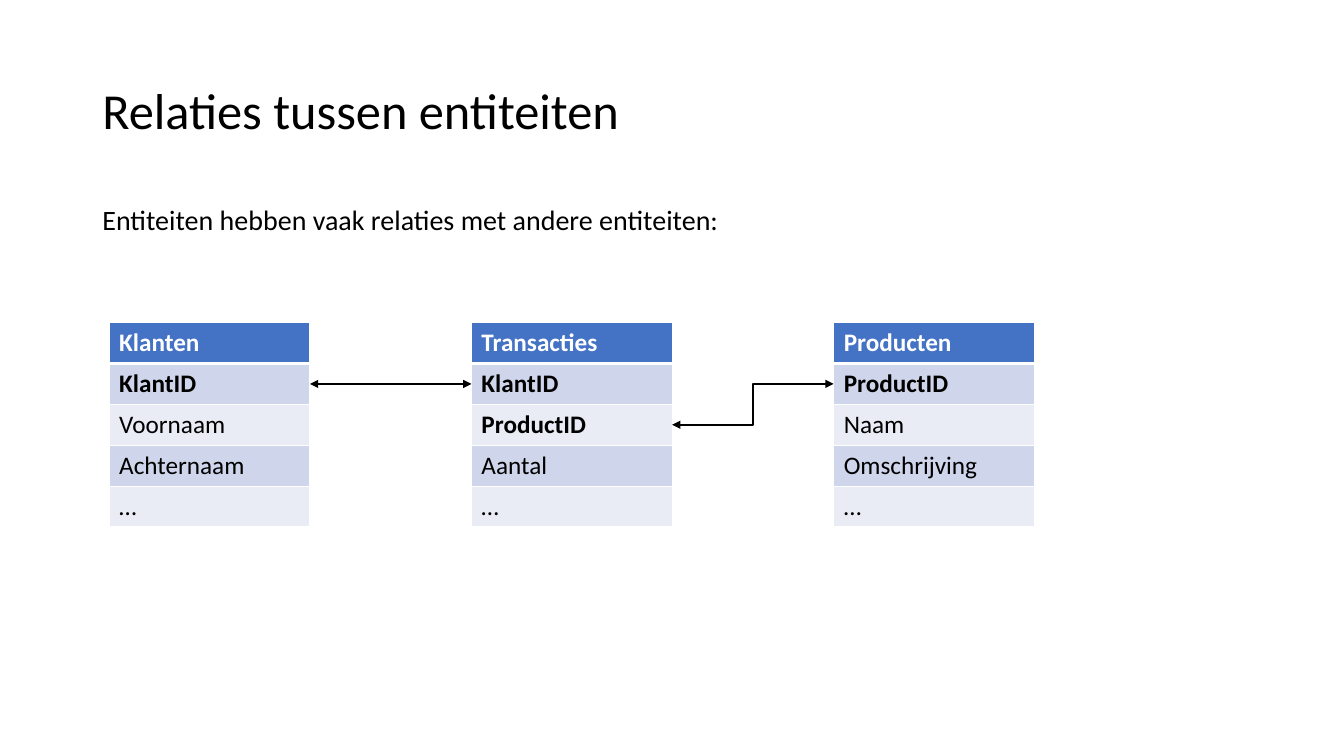
from lxml.etree import SubElement
from pptx import Presentation
from pptx.dml.color import RGBColor
from pptx.enum.shapes import MSO_CONNECTOR
from pptx.enum.text import MSO_ANCHOR
from pptx.oxml.ns import qn
from pptx.util import Cm, Pt

FONT = "Calibri"
BLACK, WHITE = "000000", "FFFFFF"
HEADER_FILL = "4472C4"
BAND_FILLS = ("CFD5EA", "E9EBF5")

ENTITY_LEFT, ENTITY_TOP, ENTITY_PITCH = 2.75, 8.13, 9.13
ENTITY_WIDTH, ROW_HEIGHT = 5.06, 1.03

# Entity name, key fields, other fields
ENTITIES = [
    ("Klanten", ["KlantID"], ["Voornaam", "Achternaam", "…"]),
    ("Transacties", ["KlantID", "ProductID"], ["Aantal", "…"]),
    ("Producten", ["ProductID"], ["Naam", "Omschrijving", "…"]),
]


def color(value):
    return RGBColor.from_string(value)


def write(frame, text, size=18, bold=False, fill=BLACK, line_spacing=None, before=None):
    paragraph = frame.paragraphs[0]
    paragraph.line_spacing = line_spacing
    if before is not None:
        paragraph.space_before = Pt(before)
    run = paragraph.add_run()
    run.text = text
    run.font.name = FONT
    run.font.size = Pt(size)
    run.font.bold = bold
    run.font.color.rgb = color(fill)


def add_text(slide, text, left, top, width, height, anchor=MSO_ANCHOR.TOP, **style):
    frame = slide.shapes.add_textbox(Cm(left), Cm(top), Cm(width), Cm(height)).text_frame
    frame.word_wrap = True
    frame.vertical_anchor = anchor
    write(frame, text, line_spacing=0.9, **style)


def add_borders(cell, top=1, bottom=1):
    """Draw white cell borders; widths are in points. Call before filling the cell."""
    properties = cell._tc.get_or_add_tcPr()
    for side, width in (("L", 1), ("R", 1), ("T", top), ("B", bottom)):
        border = SubElement(properties, qn(f"a:ln{side}"), w=str(Pt(width)))
        fill = SubElement(border, qn("a:solidFill"))
        SubElement(fill, qn("a:srgbClr"), val=WHITE)


def entity_left(index):
    return ENTITY_LEFT + index * ENTITY_PITCH


def add_entity(slide, index, name, keys, fields):
    rows = [name, *keys, *fields]
    table = slide.shapes.add_table(
        len(rows), 1, Cm(entity_left(index)), Cm(ENTITY_TOP),
        Cm(ENTITY_WIDTH), Cm(ROW_HEIGHT * len(rows))).table
    table.horz_banding = False
    for number, text in enumerate(rows):
        is_header = number == 0
        cell = table.cell(number, 0)
        add_borders(cell, top=3 if number == 1 else 1, bottom=3 if is_header else 1)
        cell.fill.solid()
        cell.fill.fore_color.rgb = color(HEADER_FILL if is_header else BAND_FILLS[(number - 1) % 2])
        write(cell.text_frame, text, bold=number <= len(keys), fill=WHITE if is_header else BLACK)


def add_relation(slide, kind, source, source_row, target_row):
    """Link a row of one entity to a row of the next entity on its right."""
    start = entity_left(source) + ENTITY_WIDTH
    end = entity_left(source + 1)
    start_y, end_y = (ENTITY_TOP + (row + 0.5) * ROW_HEIGHT for row in (source_row, target_row))
    relation = slide.shapes.add_connector(kind, Cm(start), Cm(start_y), Cm(end), Cm(end_y))
    relation.line.width = Pt(1.5)
    relation.line.color.rgb = color(BLACK)
    outline = relation.line._get_or_add_ln()
    for tip in ("headEnd", "tailEnd"):
        SubElement(outline, qn(f"a:{tip}"), type="triangle")
    SubElement(relation._element.spPr, qn("a:effectLst"))


def main():
    presentation = Presentation()
    presentation.slide_width, presentation.slide_height = Cm(33.87), Cm(19.05)
    slide = presentation.slides.add_slide(presentation.slide_layouts[6])

    add_text(slide, "Relaties tussen entiteiten", 2.33, 1.01, 29.21, 3.68,
             anchor=MSO_ANCHOR.MIDDLE, size=36)
    add_text(slide, "Entiteiten hebben vaak relaties met andere entiteiten:",
             2.33, 5.07, 29, 12.09, size=20, before=10)
    for index, (name, keys, fields) in enumerate(ENTITIES):
        add_entity(slide, index, name, keys, fields)
    add_relation(slide, MSO_CONNECTOR.STRAIGHT, source=0, source_row=1, target_row=1)
    add_relation(slide, MSO_CONNECTOR.ELBOW, source=1, source_row=2, target_row=1)

    presentation.save("out.pptx")


if __name__ == "__main__":
    main()
